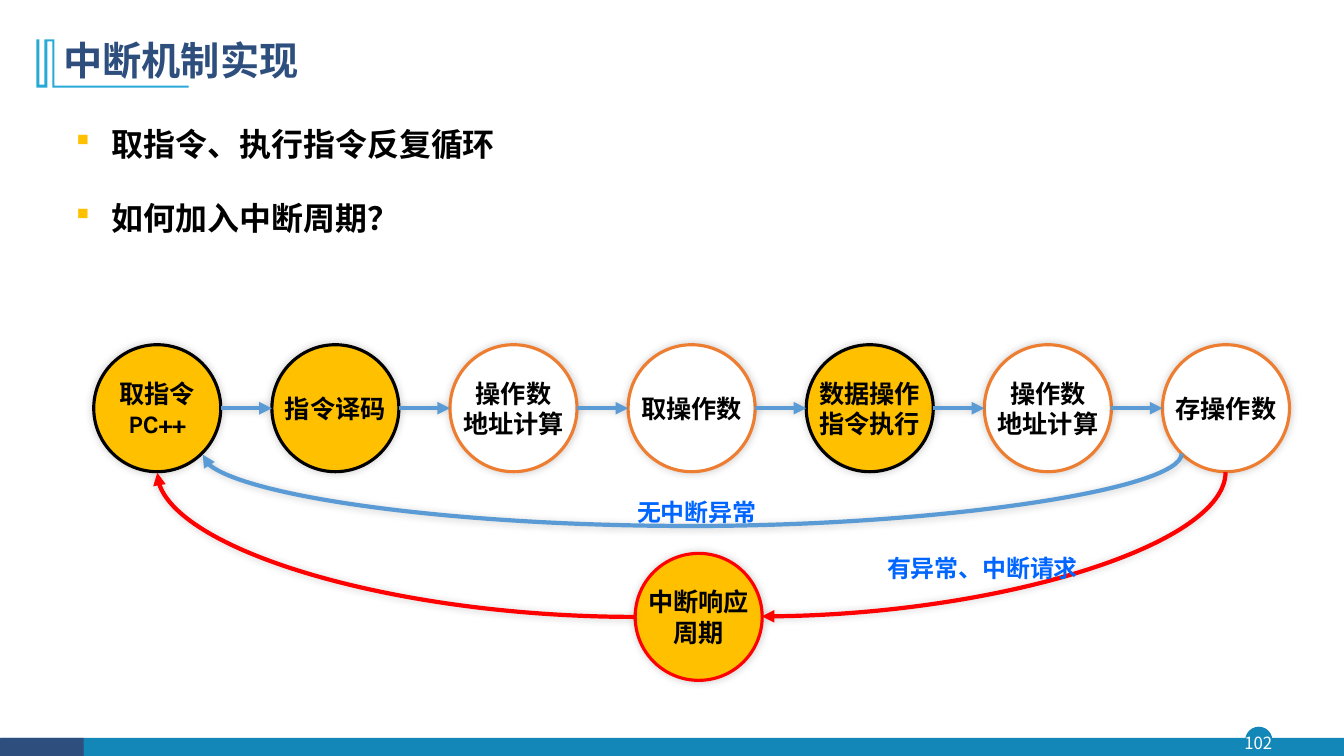
import pptx
import pptx.util
import pptx.dml.color
import pptx.enum.shapes
import pptx.enum.text
import pptx.oxml
import pptx.oxml.ns

Inches, Pt = pptx.util.Inches, pptx.util.Pt
RGBColor = pptx.dml.color.RGBColor
SHAPE = pptx.enum.shapes.MSO_SHAPE
CONNECTOR = pptx.enum.shapes.MSO_CONNECTOR
ALIGN = pptx.enum.text.PP_ALIGN
MIDDLE = pptx.enum.text.MSO_ANCHOR.MIDDLE
qn = pptx.oxml.ns.qn
NAMESPACE = 'xmlns:a="http://schemas.openxmlformats.org/drawingml/2006/main"'

TEAL = RGBColor(0x13, 0x87, 0xB7)
NAVY = RGBColor(0x2E, 0x4E, 0x7E)
CYAN = RGBColor(0x28, 0xA9, 0xD6)
GOLD = RGBColor(0xFF, 0xC0, 0x00)
ORANGE = RGBColor(0xED, 0x7D, 0x31)
BLUE = RGBColor(0x5B, 0x9B, 0xD5)
LABEL_BLUE = RGBColor(0x00, 0x66, 0xFF)
RED = RGBColor(0xFF, 0x00, 0x00)
BLACK = RGBColor(0x00, 0x00, 0x00)
WHITE = RGBColor(0xFF, 0xFF, 0xFF)
CJK_FONT, BODY_FONT = "Noto Sans CJK SC", "Karla"


def style_text(frame, size, color, bold=True, latin=BODY_FONT, asian=BODY_FONT,
               align=ALIGN.LEFT, spacing=None):
    for para in frame.paragraphs:
        para.alignment = align
        if spacing:
            para.line_spacing = spacing
        for span in para.runs:
            span.font.size, span.font.bold = Pt(size), bold
            span.font.color.rgb = color
            span.font.name = latin
            span._r.get_or_add_rPr().append(
                pptx.oxml.parse_xml(f'<a:ea {NAMESPACE} typeface="{asian}"/>'))


def finish_flow_item(item, color, width, arrow=False):
    item.line.color.rgb = color
    item.line.width = Pt(width)
    if arrow:
        item.line._get_or_add_ln().append(
            pptx.oxml.parse_xml(f'<a:tailEnd {NAMESPACE} type="triangle"/>'))
    item._element.spPr.append(pptx.oxml.parse_xml(
        f'<a:effectLst {NAMESPACE}><a:outerShdw blurRad="76200" dist="0" dir="18900000">'
        '<a:srgbClr val="000000"><a:alpha val="20000"/></a:srgbClr>'
        '</a:outerShdw></a:effectLst>'))


deck = pptx.Presentation()
deck.slide_width, deck.slide_height = Inches(13.33), Inches(7.5)
page = deck.slides.add_slide(deck.slide_layouts[1])
shapes = page.shapes

# Footer bar and page number badge
for kind, left, top, width, height, color in [
    (SHAPE.OVAL, 12.35, 7.21, 0.27, 0.27, TEAL),
    (SHAPE.RECTANGLE, 0.01, 7.32, 13.32, 0.19, TEAL),
    (SHAPE.RECTANGLE, 0, 7.32, 0.83, 0.19, NAVY),
]:
    part = shapes.add_shape(kind, Inches(left), Inches(top), Inches(width), Inches(height))
    part.fill.solid()
    part.fill.fore_color.rgb = color
    part.line.fill.background()
    part.shadow.inherit = False

number = shapes.add_textbox(Inches(12.32), Inches(7.21), Inches(0.32), Inches(0.31)).text_frame
number.margin_left = number.margin_right = number.margin_top = number.margin_bottom = 0
number.vertical_anchor = MIDDLE
number.text = "102"
style_text(number, 12, WHITE, False, CJK_FONT, CJK_FONT, ALIGN.CENTER)

# Title ornament
outline = [(0.54, 0.39), (0.54, 0.85), (1.87, 0.85), (1.87, 0.87), (0.52, 0.87),
           (0.52, 0.41), (0.47, 0.41), (0.47, 0.87), (0.36, 0.87), (0.36, 0.39),
           (0.39, 0.39), (0.39, 0.84), (0.44, 0.84), (0.44, 0.39)]
points = [(Inches(x), Inches(y)) for x, y in outline]
builder = shapes.build_freeform(*points[0])
builder.add_line_segments(points[1:], close=True)
ornament = builder.convert_to_shape()
ornament.fill.solid()
ornament.fill.fore_color.rgb = CYAN
ornament.line.fill.background()
ornament.shadow.inherit = False

# Title
title = shapes.title
title.left, title.top, title.width, title.height = map(Inches, (0.53, 0.28, 11.5, 0.68))
title.text_frame.text = "中断机制实现"
title.text_frame.vertical_anchor = MIDDLE
style_text(title.text_frame, 28, NAVY, latin=CJK_FONT, asian=CJK_FONT, spacing=0.9)

# Bullet list
body = page.placeholders[1]
body.left, body.top, body.width, body.height = map(Inches, (0.65, 1, 11.82, 1.42))
body.text_frame.text = "取指令、执行指令反复循环\n如何加入中断周期？"
body.text_frame.auto_size = pptx.enum.text.MSO_AUTO_SIZE.NONE
style_text(body.text_frame, 22.8, BLACK, latin=CJK_FONT, spacing=1.5)
for index, para in enumerate(body.text_frame.paragraphs):
    para.space_before = Pt(5.7 if index else 0)
    para.space_after = Pt(5.7)
    properties = para._p.get_or_add_pPr()
    properties.set("marL", str(Inches(0.36)))
    properties.set("indent", str(-Inches(0.36)))
    for bullet in (f'<a:buClr {NAMESPACE}><a:srgbClr val="{GOLD}"/></a:buClr>',
                   f'<a:buFont {NAMESPACE} typeface="Wingdings" charset="2"/>',
                   f'<a:buChar {NAMESPACE} char="§"/>'):
        properties.append(pptx.oxml.parse_xml(bullet))

# Instruction cycle stages, then the interrupt stage
DIAMETER, FIRST_LEFT, LAST_LEFT, STAGE_TOP = 1.26, 0.93, 11.53, 3.42
stages = [
    ("取指令\nPC++", GOLD, BLACK),
    ("指令译码", GOLD, BLACK),
    ("操作数\n地址计算", WHITE, ORANGE),
    ("取操作数", WHITE, ORANGE),
    ("数据操作\n指令执行", GOLD, BLACK),
    ("操作数\n地址计算", WHITE, ORANGE),
    ("存操作数", WHITE, ORANGE),
]
pitch = (LAST_LEFT - FIRST_LEFT) / (len(stages) - 1)
circles = [(FIRST_LEFT + i * pitch, STAGE_TOP, *stage) for i, stage in enumerate(stages)]
circles.append((6.3, 5.49, "中断响应\n周期", GOLD, RED))
for left, top, text, fill, line in circles:
    circle = shapes.add_shape(SHAPE.OVAL, Inches(left), Inches(top),
                              Inches(DIAMETER), Inches(DIAMETER))
    circle.fill.solid()
    circle.fill.fore_color.rgb = fill
    finish_flow_item(circle, line, 2.25)
    circle.text_frame.word_wrap = False
    circle.text_frame.vertical_anchor = MIDDLE
    circle.text_frame.text = text
    style_text(circle.text_frame, 18, BLACK, align=ALIGN.CENTER)

# Straight arrows between neighbouring stages
arrow_y = Inches(STAGE_TOP + DIAMETER / 2)
for i in range(len(stages) - 1):
    stage_left = FIRST_LEFT + i * pitch
    arrow = shapes.add_connector(CONNECTOR.STRAIGHT, Inches(stage_left + DIAMETER), arrow_y,
                                 Inches(stage_left + pitch), arrow_y)
    finish_flow_item(arrow, BLUE, 3, arrow=True)

# Curved return arrows: unrotated frame, rotation, preset, bend, colour
for left, top, width, height, degrees, preset, bend, color in [
    (6.86, -0.35, 0.01, 9.71, 90, "curvedConnector3", 7300000, BLUE),
    (9.14, 3.1, 1.43, 4.6, 90, "curvedConnector2", None, RED),
    (1.56, 4.69, 4.74, 1.43, 180, "curvedConnector2", None, RED),
]:
    curve = shapes.add_connector(CONNECTOR.CURVE, Inches(left), Inches(top),
                                 Inches(left + width), Inches(top + height))
    properties = curve._element.spPr
    properties.find(qn("a:xfrm")).set("rot", str(degrees * 60000))
    geometry = properties.find(qn("a:prstGeom"))
    geometry.set("prst", preset)
    if bend:
        geometry.get_or_add_avLst().append(pptx.oxml.parse_xml(
            f'<a:gd {NAMESPACE} name="adj1" fmla="val {bend}"/>'))
    finish_flow_item(curve, color, 3, arrow=True)

# Arrow labels
for left, top, width, text in [(6.22, 4.74, 1.4, "无中断异常"),
                               (8.7, 5.3, 2.12, "有异常、中断请求")]:
    label = shapes.add_textbox(Inches(left), Inches(top), Inches(width), Inches(0.53))
    label.text_frame.word_wrap = False
    label.text_frame.text = text
    style_text(label.text_frame, 17.1, LABEL_BLUE, spacing=1.5)

deck.save("out.pptx")
